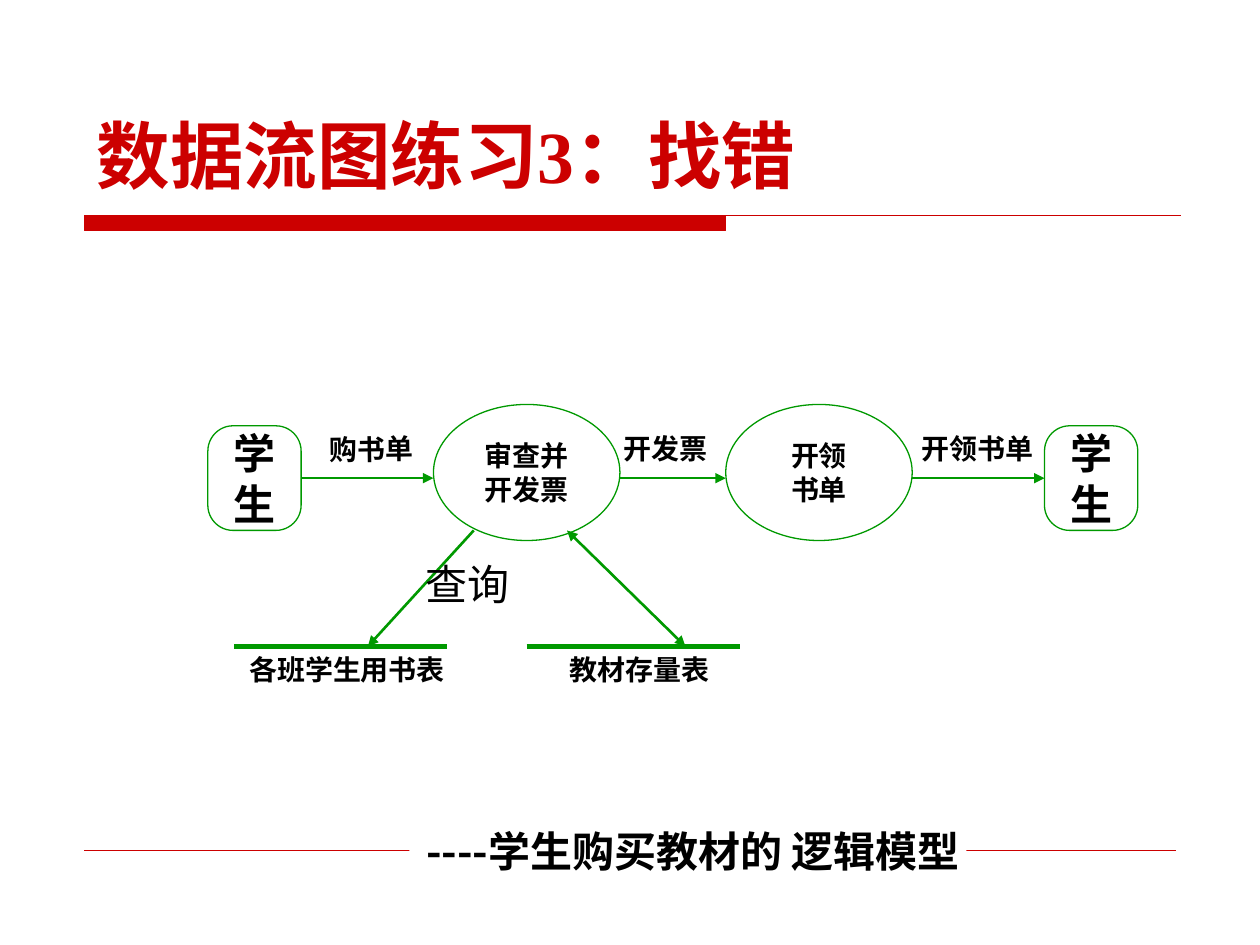
from typing import NamedTuple, Optional
from lxml.etree import SubElement
from pptx import Presentation
from pptx.dml.color import RGBColor
from pptx.enum.shapes import MSO_CONNECTOR, MSO_SHAPE
from pptx.enum.text import MSO_ANCHOR, PP_ALIGN
from pptx.oxml.ns import qn
from pptx.util import Inches, Pt

RED, GREEN, BLACK, WHITE = "CC0000", "009900", "000000", "FFFFFF"
SERIF, SANS = "Times New Roman", "Noto Sans CJK SC"
COLS, ROWS = 100, 75  # grid over the whole slide

deck = Presentation()
deck.slide_width, deck.slide_height = Inches(10), Inches(7.5)
slide = deck.slides.add_slide(deck.slide_layouts[6])
shapes = slide.shapes


class Box(NamedTuple):
    col: float
    row: float
    wide: float
    high: float


class Node(NamedTuple):
    kind: MSO_SHAPE
    box: Box
    text: str
    size: float


class Label(NamedTuple):
    box: Box
    text: str
    turn: float = 0


class Flow(NamedTuple):
    start: tuple
    end: tuple
    source: Optional[int] = None  # node joined at its right side
    target: Optional[int] = None  # node joined at its left side
    both: bool = False


def across(cols: float) -> int:
    return round(deck.slide_width * cols / COLS)


def down(rows: float) -> int:
    return round(deck.slide_height * rows / ROWS)


def place(box: Box) -> tuple:
    return across(box.col), down(box.row), across(box.wide), down(box.high)


def tint(form, color: str) -> None:
    form.rgb = RGBColor.from_string(color)


def write(shape, text: str, *, size: float, color: str = BLACK, bold: bool = True,
          font: str = SERIF, align=PP_ALIGN.CENTER, anchor=MSO_ANCHOR.TOP,
          wrap: bool = False) -> None:
    frame = shape.text_frame
    frame.text = text
    frame.word_wrap, frame.vertical_anchor = wrap, anchor
    for para in frame.paragraphs:
        para.alignment = align
        for run in para.runs:
            run.font.name, run.font.size, run.font.bold = font, Pt(size), bold
            tint(run.font.color, color)
            # East Asian face
            SubElement(run.font._element, qn("a:ea")).set("typeface", SANS)


def label(box: Box, text: str, turn: float = 0, **style) -> None:
    shape = shapes.add_textbox(*place(box))
    shape.rotation = turn
    write(shape, text, **style)


def solid(kind: MSO_SHAPE, box: Box, fill: str = "", line: str = ""):
    shape = shapes.add_shape(kind, *place(box))
    shape.shadow.inherit = False
    if fill:
        shape.fill.solid()
        tint(shape.fill.fore_color, fill)
    else:
        shape.fill.background()
    if line:
        tint(shape.line.color, line)
        shape.line.width = Pt(0.75)
    else:
        shape.line.fill.background()
    return shape


def rule(start: tuple, end: tuple, color: str, width: float, tips: tuple = ()):
    line = shapes.add_connector(MSO_CONNECTOR.STRAIGHT, across(start[0]), down(start[1]),
                                across(end[0]), down(end[1]))
    tint(line.line.color, color)
    line.line.width = Pt(width)
    for tip in tips:
        SubElement(line.line._get_or_add_ln(), qn(f"a:{tip}")).set("type", "triangle")
    SubElement(line._element.spPr, qn("a:effectLst"))
    return line


# Title rule and footer
solid(MSO_SHAPE.RECTANGLE, Box(6.7, 17.1, 50.9, 1.2), RED, RED)
rule((6.7, 17.1), (93.7, 17.1), RED, 1)
rule((6.7, 67.5), (93.3, 67.5), RED, 0.25)
foot = solid(MSO_SHAPE.ROUNDED_RECTANGLE, Box(32.5, 65, 44.2, 5), WHITE)
foot.adjustments[0] = 0.31
foot.text_frame.margin_left = Inches(0.18)
write(foot, "----学生购买教材的 逻辑模型", size=24, font=SANS, anchor=MSO_ANCHOR.MIDDLE)

# People and processes
TOP, TALL, BASE = 33.8, 8.3, 51.3
LOW, MID = TOP + TALL, TOP + TALL / 2
OVAL, ROUND = MSO_SHAPE.OVAL, MSO_SHAPE.ROUNDED_RECTANGLE
nodes = [
    Node(ROUND, Box(16.5, TOP, 7.4, TALL), "学\n生", 24),
    Node(OVAL, Box(34.4, 32.1, 14.8, 10.8), "审查并\n开发票", 16),
    Node(OVAL, Box(57.6, 32.1, 14.8, 10.8), "开领\n书单", 16),
    Node(ROUND, Box(82.9, TOP, 7.4, TALL), "学\n生", 24),
]
drawn = []
for node in nodes:
    shape = solid(node.kind, node.box, line=GREEN)
    if node.kind == ROUND:
        shape.adjustments[0] = 0.27
    write(shape, node.text, size=node.size, anchor=MSO_ANCHOR.MIDDLE)
    drawn.append(shape)

# Data flows
flows = [
    Flow((23.9, MID), (34.4, MID), source=0),
    Flow((49.2, MID), (57.6, MID)),
    Flow((72.4, MID), (82.9, MID), target=3),
    Flow((37.6, LOW), (29.2, BASE)),
    Flow((45, LOW), (54.4, BASE), both=True),
]
for flow in flows:
    tips = ("headEnd", "tailEnd") if flow.both else ("tailEnd",)
    line = rule(flow.start, flow.end, GREEN, 1.5, tips)
    if flow.source is not None:
        line.begin_connect(drawn[flow.source], 3)
    if flow.target is not None:
        line.end_connect(drawn[flow.target], 1)

# Data stores
for col in (18.6, 41.8):
    rule((col, BASE), (col + 16.9, BASE), GREEN, 3)

# Names of flows and stores
labels = [
    Label(Box(24.6, TOP, 9.7, 3.7), "购书单", 359.2),
    Label(Box(48.1, TOP, 9.5, 3.7), "开发票"),
    Label(Box(71.3, TOP, 12.6, 3.7), "开领书单"),
    Label(Box(14.4, BASE, 26.3, 3.7), "各班学生用书表"),
    Label(Box(37.6, BASE, 26.3, 3.7), "教材存量表"),
]
for item in labels:
    label(item.box, item.text, item.turn, size=16)
label(Box(32.8, 43.8, 10, 5), "查询", size=24, bold=False, align=PP_ALIGN.LEFT, wrap=True)

# Title
label(Box(6.7, 6, 85, 12.5), "数据流图练习3：找错", size=42, color=RED,
      align=PP_ALIGN.LEFT, anchor=MSO_ANCHOR.MIDDLE, wrap=True)

deck.save("out.pptx")
